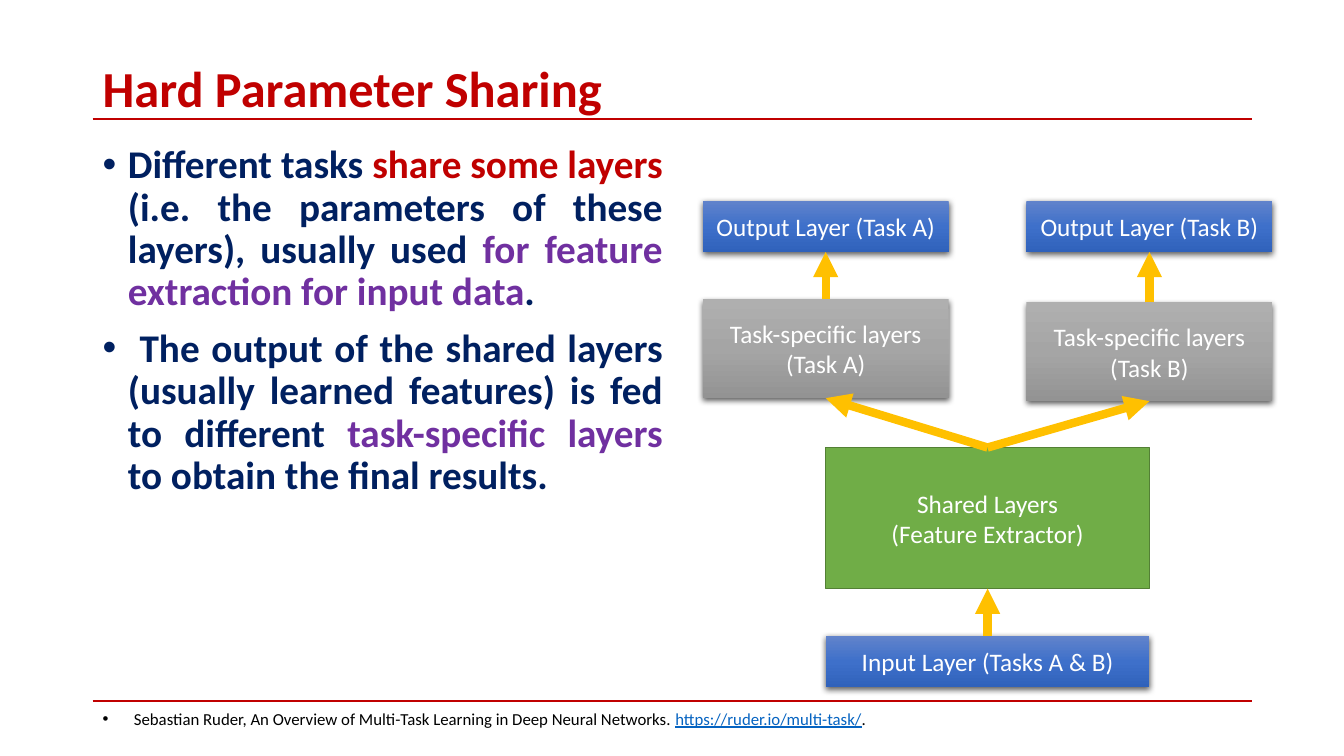
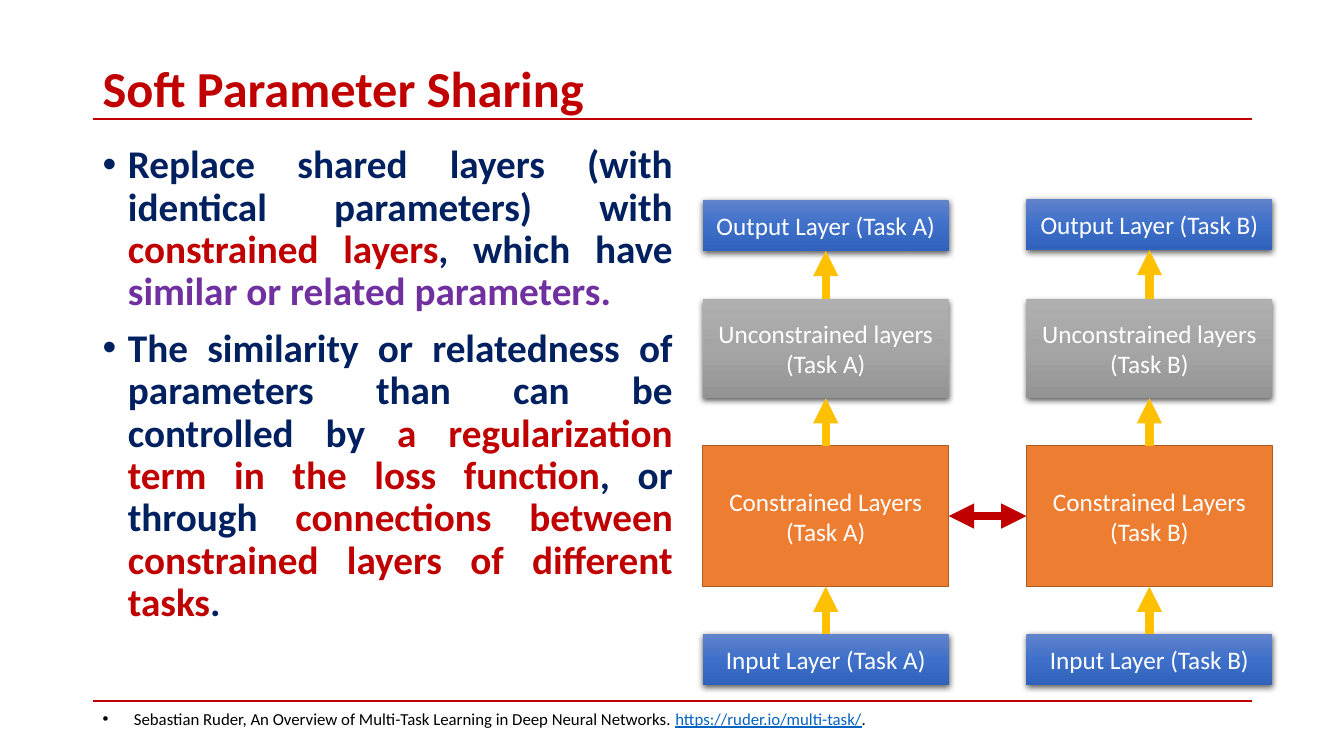
import copy

import pptx
import pptx.dml.color
import pptx.enum.shapes
import pptx.enum.text
import pptx.oxml
import pptx.oxml.ns
import pptx.util

Inches, Pt = pptx.util.Inches, pptx.util.Pt
ALIGN = pptx.enum.text.PP_ALIGN
ANCHOR = pptx.enum.text.MSO_ANCHOR
qn = pptx.oxml.ns.qn

# Shared style
FONT = "Calibri"
RED, NAVY, PURPLE, GOLD = "C00000", "002060", "7030A0", "FFC000"
BLACK, WHITE, LINK = "000000", "FFFFFF", "0563C1"
BLUE_FILL = ("6183CB", "3E70CA", "3062BB")
GREY_FILL = ("AFAFAF", "A5A5A5", "939393")
LEFT, WIDTH = 0.92, 11.5
TOP, BOTTOM, SIDE_LEFT, SIDE_RIGHT = 0, 2, 1, 3  # rectangle connection sites

# Diagram grid
COL_A, COL_B = 6.97, 10.18
BOX_W, MIDDLE_W = 2.44, 3.21
SLIM_H, TASK_H, SHARED_H = 0.51, 0.98, 1.4
SHARED_X = COL_A + BOX_W / 2

SOURCE = [
    ("Sebastian Ruder, An Overview of Multi-Task Learning in Deep Neural Networks. ", BLACK),
    ("https://ruder.io/multi-task/", LINK),
    (".", BLACK),
]


def rgb(color):
    return pptx.dml.color.RGBColor.from_string(color)


def add_xml(parent, tag, inner="", **attrs):
    """Append one DrawingML element to parent."""
    pairs = "".join(f' {key}="{value}"' for key, value in attrs.items())
    ns = pptx.oxml.ns.nsdecls("a")
    parent.append(pptx.oxml.parse_xml(f"<a:{tag} {ns}{pairs}>{inner}</a:{tag}>"))


def set_font(font, size, color=None, bold=False):
    font.name, font.size, font.bold = FONT, Pt(size), bold
    if color:
        font.color.rgb = rgb(color)


# Text
def add_textbox(slide, x, y, w, h):
    tf = slide.shapes.add_textbox(Inches(x), Inches(y), Inches(w), Inches(h)).text_frame
    tf.word_wrap = True
    return tf


def add_bullet(p, runs, size, indent, bold=False):
    pPr = p._p.get_or_add_pPr()
    pPr.set("marL", str(Inches(indent)))
    pPr.set("indent", str(Inches(-indent)))
    add_xml(pPr, "buFont", typeface="Arial")
    add_xml(pPr, "buChar", char="•")
    set_font(p.font, size, bold=bold)
    for text, color in runs:
        r = p.add_run()
        r.text = text
        r.font.color.rgb = rgb(color)
        if color == LINK:
            r.font.underline = True


def add_body(slide, width, bullets):
    tf = add_textbox(slide, LEFT, 1.39, width, 5.37)
    for i, runs in enumerate(bullets):
        p = tf.add_paragraph() if i else tf.paragraphs[0]
        add_bullet(p, runs, 28, 0.25, bold=True)
        p.alignment = ALIGN.JUSTIFY
        p.line_spacing = 0.9
        p.space_before = Pt(10)


# Lines and arrows
def style_line(cxn, color, width, head=False, tail=False):
    cxn.line.color.rgb = rgb(color)
    cxn.line.width = Pt(width)
    ln = cxn.line._get_or_add_ln()
    if head:
        add_xml(ln, "headEnd", type="triangle")
    if tail:
        add_xml(ln, "tailEnd", type="triangle")
    add_xml(cxn._element.spPr, "effectLst")


def add_rule(slide, y):
    cxn = slide.shapes.add_connector(
        pptx.enum.shapes.MSO_CONNECTOR.STRAIGHT,
        Inches(LEFT), Inches(y), Inches(LEFT + WIDTH), Inches(y))
    style_line(cxn, RED, 1.5)


def add_arrow(slide, start, end, sites=(TOP, BOTTOM), color=GOLD, both=False):
    cxn = slide.shapes.add_connector(pptx.enum.shapes.MSO_CONNECTOR.STRAIGHT, 0, 0, 0, 0)
    cxn.begin_connect(start, sites[0])
    cxn.end_connect(end, sites[1])
    style_line(cxn, color, 6, head=both, tail=True)


# Diagram boxes
def add_box(slide, x, y, w, h, lines):
    sp = slide.shapes.add_shape(
        pptx.enum.shapes.MSO_SHAPE.RECTANGLE, Inches(x), Inches(y), Inches(w), Inches(h))
    sp.shadow.inherit = False
    tf = sp.text_frame
    tf.word_wrap = True
    tf.vertical_anchor = ANCHOR.MIDDLE
    for i, line in enumerate(lines):
        p = tf.add_paragraph() if i else tf.paragraphs[0]
        p.text = line
        p.alignment = ALIGN.CENTER
        set_font(p.font, 18, WHITE)
    return sp


def add_flat_box(slide, x, y, w, h, lines, fill, outline):
    sp = add_box(slide, x, y, w, h, lines)
    sp.fill.solid()
    sp.fill.fore_color.rgb = rgb(fill)
    sp.line.color.rgb = rgb(outline)
    sp.line.width = Pt(1)
    return sp


def add_raised_box(slide, x, y, w, h, lines, colors):
    sp = add_box(slide, x, y, w, h, lines)
    sp.line.fill.background()
    sp.fill.gradient()
    sp.fill.gradient_angle = 270
    spPr = sp._element.spPr
    gs_lst = spPr.find(".//" + qn("a:gsLst"))
    gs_lst.insert(1, copy.deepcopy(gs_lst[0]))
    for i, (stop, color) in enumerate(zip(sp.fill.gradient_stops, colors)):
        stop.color.rgb = rgb(color)
        stop.position = i / 2
    add_xml(spPr.find(qn("a:effectLst")), "outerShdw",
            '<a:srgbClr val="000000"><a:alpha val="63000"/></a:srgbClr>',
            blurRad=Pt(4.5), dist=Pt(1.5), dir=5400000, algn="ctr", rotWithShape=0)
    return sp


def add_task_top(slide, x, output_y, task_y, kind, task):
    """Output layer above its task layers, joined; returns the task layers."""
    output = add_raised_box(slide, x, output_y, BOX_W, SLIM_H,
                            [f"Output Layer ({task})"], BLUE_FILL)
    layers = add_raised_box(slide, x, task_y, BOX_W, TASK_H,
                            [f"{kind} layers", f"({task})"], GREY_FILL)
    add_arrow(slide, layers, output)
    return layers


# Slides
def new_slide(prs, title):
    slide = prs.slides.add_slide(prs.slide_layouts[6])
    add_rule(slide, 1.18)
    add_rule(slide, 6.95)
    tf = add_textbox(slide, LEFT, 0.61, WIDTH, 0.58)
    tf.vertical_anchor = ANCHOR.MIDDLE
    p = tf.paragraphs[0]
    p.text = title
    p.line_spacing = 0.9
    set_font(p.font, 36, RED, bold=True)
    footer = add_textbox(slide, LEFT, 6.98, 10.14, 0.3)
    add_bullet(footer.paragraphs[0], SOURCE, 12, 0.31)
    return slide


def hard_sharing(prs):
    slide = new_slide(prs, "Hard Parameter Sharing")
    add_body(slide, 5.75, [
        [("Different tasks ", NAVY), ("share some layers ", RED),
         ("(i.e. the parameters of these layers), usually used ", NAVY),
         ("for feature extraction for input data", PURPLE), (".", NAVY)],
        [(" The output of the shared layers (usually learned features) is fed to different ", NAVY),
         ("task-specific layers ", PURPLE), ("to obtain the final results.", NAVY)],
    ])
    inputs = add_raised_box(slide, SHARED_X, 6.31, MIDDLE_W, SLIM_H,
                            ["Input Layer (Tasks A & B)"], BLUE_FILL)
    shared = add_flat_box(slide, SHARED_X, 4.44, MIDDLE_W, SHARED_H,
                          ["Shared Layers", "(Feature Extractor)"], "70AD47", "538035")
    add_arrow(slide, inputs, shared)
    for x, task_y, task in ((COL_A, 2.97, "Task A"), (COL_B, 3, "Task B")):
        layers = add_task_top(slide, x, 1.99, task_y, "Task-specific", task)
        add_arrow(slide, shared, layers)


def soft_sharing(prs):
    slide = new_slide(prs, "Soft Parameter Sharing")
    add_body(slide, 5.85, [
        [("Replace shared layers (with identical parameters) with ", NAVY),
         ("constrained layers", RED), (", which have ", NAVY),
         ("similar or related parameters.", PURPLE)],
        [("The similarity or relatedness of parameters than can be controlled by ", NAVY),
         ("a regularization term in the loss function", RED), (", or through ", NAVY),
         ("connections between constrained layers of different tasks", RED), (".", NAVY)],
    ])
    constrained = []
    for x, output_y, task in ((COL_A, 1.98, "Task A"), (COL_B, 1.97, "Task B")):
        layers = add_task_top(slide, x, output_y, 2.97, "Unconstrained", task)
        block = add_flat_box(slide, x, 4.42, BOX_W, SHARED_H,
                             ["Constrained Layers", f"({task})"], "ED7D31", "AF5C24")
        inputs = add_raised_box(slide, x, 6.29, BOX_W, SLIM_H,
                                [f"Input Layer ({task})"], BLUE_FILL)
        add_arrow(slide, block, layers)
        add_arrow(slide, inputs, block)
        constrained.append(block)
    add_arrow(slide, *constrained, sites=(SIDE_RIGHT, SIDE_LEFT), color=RED, both=True)


def main():
    prs = pptx.Presentation()
    prs.slide_width, prs.slide_height = Inches(13.33), Inches(7.5)
    hard_sharing(prs)
    soft_sharing(prs)
    prs.save("out.pptx")


if __name__ == "__main__":
    main()
